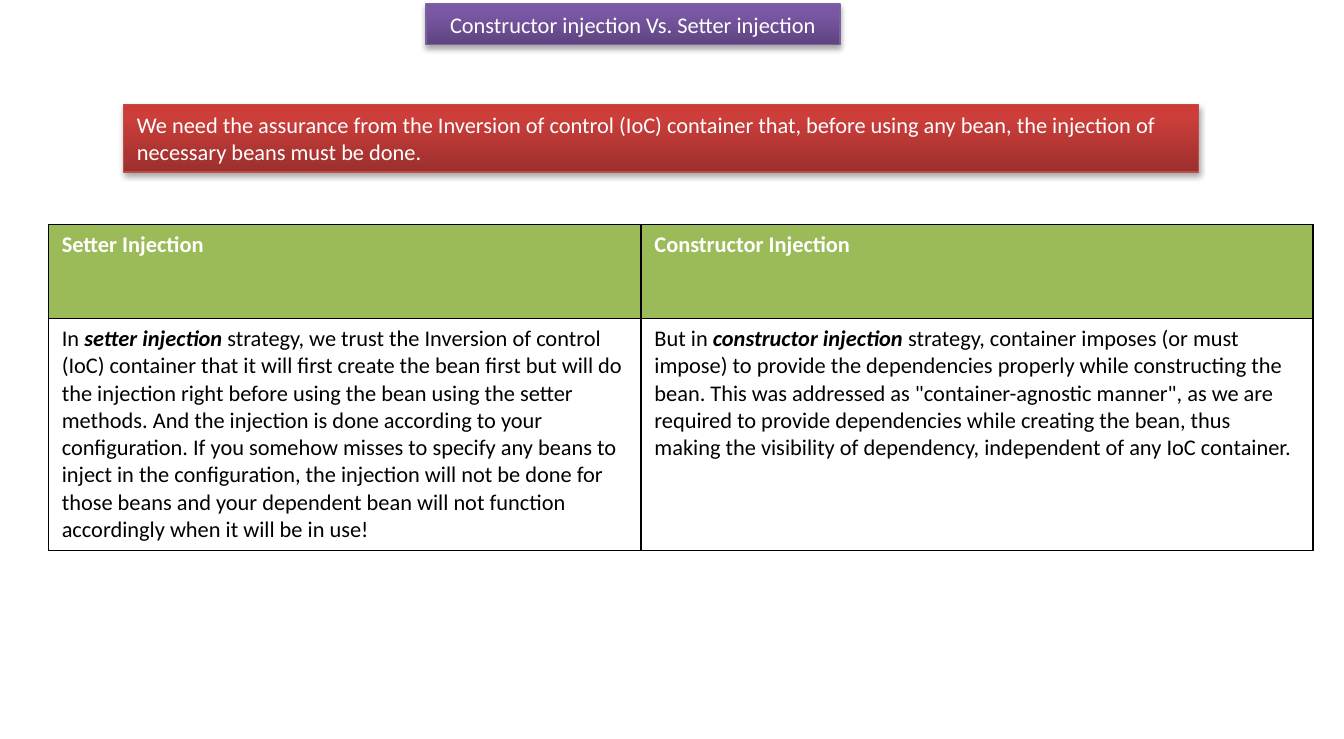
import copy

import pptx
import pptx.dml.color
import pptx.enum.text
import pptx.oxml.ns
import pptx.util
from lxml import etree
from pptx.util import Inches

FONT = "Calibri"
COLORS = {
    "white": "FFFFFF",
    "black": "000000",
    "green": "9BBB59",
    "purple line": "7D60A0",
    "red line": "BF4C48",
}
GRADS = {
    "purple": ["5F4480", "7B58A6", "7C57A8"],
    "red": ["9C2F2D", "CB3E3A", "CE3B37"],
}
STOPS = [0, 0.8, 1]
ALIGN = pptx.enum.text.PP_ALIGN

TITLE = "Constructor injection Vs. Setter injection"
CLAIM = (
    "We need the assurance from the Inversion of control (IoC) container that, "
    "before using any bean, the injection of necessary beans must be done."
)
HEADS = ["Setter Injection", "Constructor Injection"]
BODIES = [
    (
        "In ",
        "setter injection",
        " strategy, we trust the Inversion of control (IoC) container that it will "
        "first create the bean first but will do the injection right before using "
        "the bean using the setter methods. And the injection is done according to "
        "your configuration. If you somehow misses to specify any beans to inject in "
        "the configuration, the injection will not be done for those beans and your "
        "dependent bean will not function accordingly when it will be in use!",
    ),
    (
        "But in ",
        "constructor injection",
        " strategy, container imposes (or must impose) to provide the dependencies "
        "properly while constructing the bean. This was addressed as "
        "\"container-agnostic manner\", as we are required to provide dependencies "
        "while creating the bean, thus making the visibility of dependency, "
        "independent of any IoC container.",
    ),
]


def rgb(code):
    return pptx.dml.color.RGBColor.from_string(code)


def add_node(parent, tag, **attrs):
    return etree.SubElement(parent, pptx.oxml.ns.qn(tag), attrs)


def add_run(para, text, color, bold=False, italic=False):
    run = para.add_run()
    run.text = text
    font = run.font
    font.name, font.size = FONT, pptx.util.Pt(12)
    font.bold, font.italic = bold, italic
    font.color.rgb = rgb(COLORS[color])


def set_grad(shape, codes):
    """Fill from bottom to top through three colours."""
    fill = shape.fill
    fill.gradient()
    fill.gradient_angle = 90
    stops = shape.element.spPr.find(".//" + pptx.oxml.ns.qn("a:gsLst"))
    stops.append(copy.deepcopy(stops[-1]))
    for stop, place, code in zip(fill.gradient_stops, STOPS, codes):
        stop.position = place
        stop.color.rgb = rgb(code)


def add_shade(shape):
    shape.shadow.inherit = False
    effects = shape.element.spPr.find(pptx.oxml.ns.qn("a:effectLst"))
    shade = add_node(effects, "a:outerShdw", blurRad="40000", dist="23000",
                     dir="5400000", rotWithShape="0")
    color = add_node(shade, "a:srgbClr", val=COLORS["black"])
    add_node(color, "a:alpha", val="35000")


def add_banner(slide, box, hue, text, align):
    rect = pptx.enum.shapes.MSO_SHAPE.RECTANGLE
    shape = slide.shapes.add_shape(rect, *map(Inches, box))
    set_grad(shape, GRADS[hue])
    shape.line.color.rgb = rgb(COLORS[hue + " line"])
    shape.line.width = pptx.util.Pt(0.75)
    add_shade(shape)
    frame = shape.text_frame
    frame.word_wrap = True
    para = frame.paragraphs[0]
    para.alignment = align
    add_run(para, text, "white")


def set_edges(cell):
    """Draw thin black borders; they must come before the cell's fill."""
    props = cell._tc.get_or_add_tcPr()
    for side in "LRTB":
        edge = add_node(props, "a:ln" + side, w=str(pptx.util.Pt(1)))
        fill = add_node(edge, "a:solidFill")
        add_node(fill, "a:srgbClr", val=COLORS["black"])


def add_grid(slide):
    cols, rows = [4.41, 5], [0.7, 1.7]
    box = map(Inches, (0.36, 1.67, sum(cols), sum(rows)))
    table = slide.shapes.add_table(len(rows), len(cols), *box).table
    table.horz_banding = False
    for row, height in zip(table.rows, rows):
        row.height = Inches(height)
    for i, width in enumerate(cols):
        table.columns[i].width = Inches(width)
        head, body = table.cell(0, i), table.cell(1, i)
        for cell, color in ((head, "green"), (body, "white")):
            set_edges(cell)
            cell.fill.solid()
            cell.fill.fore_color.rgb = rgb(COLORS[color])
        add_run(head.text_frame.paragraphs[0], HEADS[i], "white", bold=True)
        for j, text in enumerate(BODIES[i]):
            term = j == 1
            add_run(body.text_frame.paragraphs[0], text, "black", term, term)


def main():
    deck = pptx.Presentation()
    deck.slide_width, deck.slide_height = Inches(10), Inches(5.5)
    slide = deck.slides.add_slide(deck.slide_layouts[6])
    add_banner(slide, (3.17, 0.03, 3.08, 0.3), "purple", TITLE, ALIGN.CENTER)
    add_grid(slide)
    add_banner(slide, (0.92, 0.78, 8, 0.5), "red", CLAIM, ALIGN.LEFT)
    deck.save("out.pptx")


if __name__ == "__main__":
    main()
